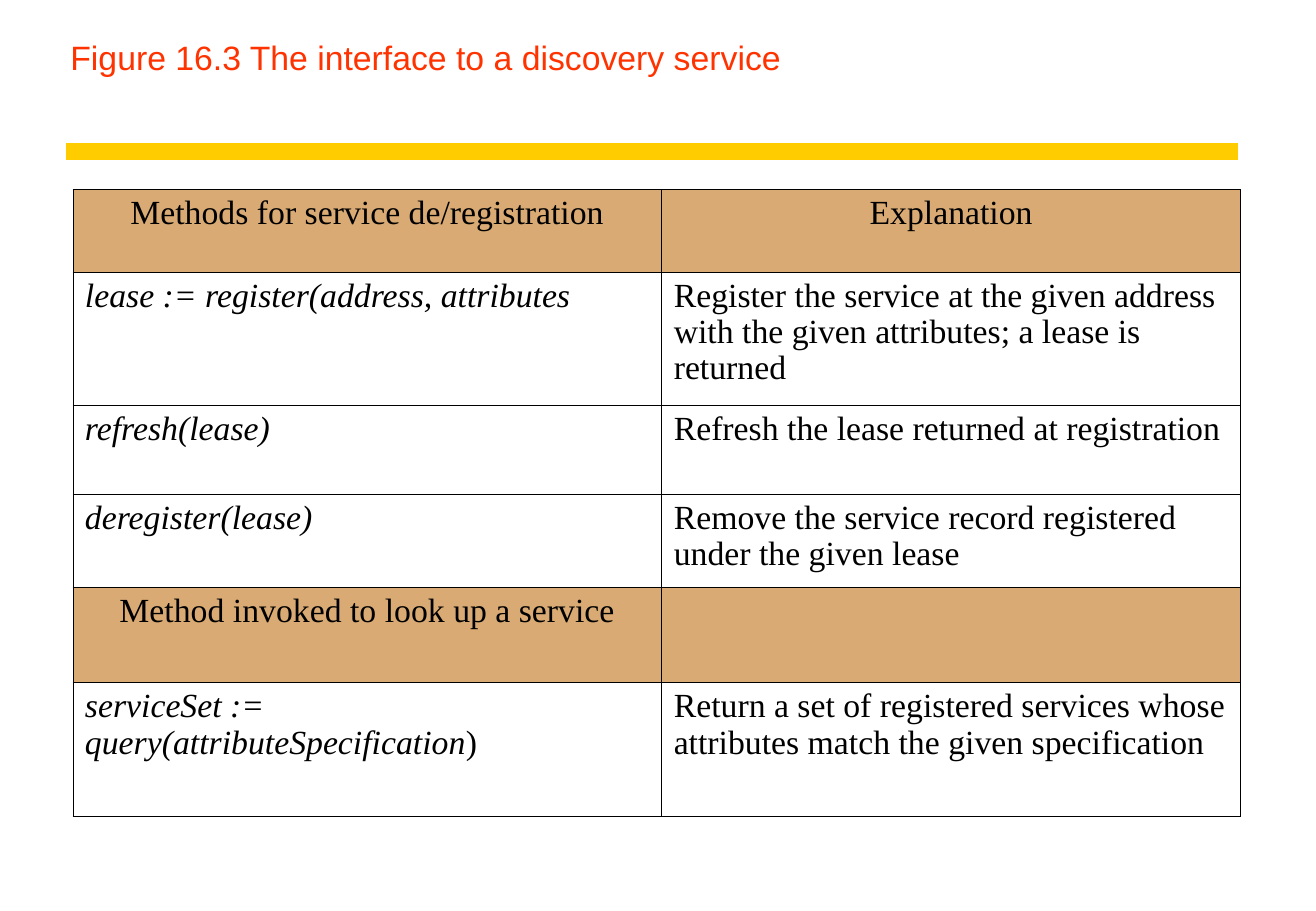
"""Build the slide showing the interface to a discovery service."""
from dataclasses import dataclass
from typing import Any

from lxml.etree import SubElement
from pptx import Presentation
from pptx.dml.color import RGBColor as Rgb
from pptx.enum.shapes import MSO_CONNECTOR as Connector
from pptx.enum.text import MSO_ANCHOR as Anchor, MSO_AUTO_SIZE as AutoSize, PP_ALIGN as Align
from pptx.oxml.ns import qn
from pptx.util import Inches, Pt


@dataclass(frozen=True)
class Theme:
    title: Rgb = Rgb(0xFF, 0x33, 0x00)
    rule: Rgb = Rgb(0xFF, 0xCC, 0x00)
    heading: Rgb = Rgb(0xD9, 0xAA, 0x73)
    ink: Rgb = Rgb(0, 0, 0)
    title_font: str = "Arial"
    table_font: str = "Times New Roman"
    text_size: Pt = Pt(20)
    rule_width: Pt = Pt(10)
    border_width: Pt = Pt(0.45)
    line_spacing: float = 0.97


@dataclass(frozen=True)
class MethodRow:
    method: str
    explanation: str
    height: float
    heading: bool = False
    upright_tail: str = ""


THEME = Theme()
COLUMN_WIDTHS = (4.85, 4.77)
METHOD_ROWS = (
    MethodRow("Methods for service de/registration", "Explanation", 0.68, heading=True),
    MethodRow("lease := register(address, attributes",
              "Register the service at the given address with the given attributes; "
              "a lease is returned", 1.1),
    MethodRow("refresh(lease)", "Refresh the lease returned at registration", 0.73),
    MethodRow("deregister(lease)",
              "Remove the service record registered under the given lease", 0.77),
    MethodRow("Method invoked to look up a service", "", 0.78, heading=True),
    MethodRow("serviceSet := query(attributeSpecification",
              "Return a set of registered services whose attributes match "
              "the given specification", 1.1, upright_tail=")"),
)


def apply_format(target: Any, values: dict[str, Any]) -> None:
    """Set each named attribute on the target."""
    for name, value in values.items():
        setattr(target, name, value)


def add_text(paragraph: Any, text: str, font_name: str, color: Rgb, italic: bool = False) -> None:
    """Append a formatted run to the paragraph."""
    run = paragraph.add_run()
    run.text = text
    apply_format(run.font, {"name": font_name, "size": THEME.text_size, "italic": italic})
    run.font.color.rgb = color


def add_borders(cell: Any) -> None:
    """Outline all four sides of a table cell."""
    properties = cell._tc.get_or_add_tcPr()
    for side in ("a:lnL", "a:lnR", "a:lnT", "a:lnB"):
        border = SubElement(properties, qn(side), w=str(int(THEME.border_width)))
        fill = SubElement(border, qn("a:solidFill"))
        SubElement(fill, qn("a:srgbClr"), val=str(THEME.ink))


def add_title(slide: Any) -> None:
    """Place the figure caption in the title placeholder."""
    caption = slide.shapes.title
    apply_format(caption, {"left": Inches(0.48), "top": Inches(0.25),
                           "width": Inches(9.72), "height": Inches(0.75)})
    apply_format(caption.text_frame, {"auto_size": AutoSize.NONE, "word_wrap": True,
                                      "vertical_anchor": Anchor.TOP})
    paragraph = caption.text_frame.paragraphs[0]
    paragraph.alignment = Align.LEFT
    add_text(paragraph, "Figure 16.3 The interface to a discovery service",
             THEME.title_font, THEME.title)


def add_rule(slide: Any) -> None:
    """Draw the thick rule under the title."""
    rule = slide.shapes.add_connector(Connector.STRAIGHT, Inches(0.54), Inches(1.25),
                                      Inches(10.2), Inches(1.25))
    rule.line.color.rgb = THEME.rule
    rule.line.width = THEME.rule_width
    SubElement(rule._element.spPr, qn("a:effectLst"))


def fill_row(cells: Any, row: MethodRow) -> None:
    """Write and style the two cells of a method row."""
    for cell, text, is_method in zip(cells, (row.method, row.explanation), (True, False)):
        add_borders(cell)
        if row.heading:
            cell.fill.solid()
            cell.fill.fore_color.rgb = THEME.heading
        else:
            cell.fill.background()
        paragraph = cell.text_frame.paragraphs[0]
        apply_format(paragraph, {"alignment": Align.CENTER if row.heading else Align.LEFT,
                                 "line_spacing": THEME.line_spacing})
        if text:
            add_text(paragraph, text, THEME.table_font, THEME.ink,
                     italic=is_method and not row.heading)
        if is_method and row.upright_tail:
            add_text(paragraph, row.upright_tail, THEME.table_font, THEME.ink)


def add_methods_table(slide: Any) -> None:
    """Add the table of methods and their explanations."""
    table = slide.shapes.add_table(
        len(METHOD_ROWS), len(COLUMN_WIDTHS), Inches(0.6), Inches(1.56),
        Inches(sum(COLUMN_WIDTHS)), Inches(sum(row.height for row in METHOD_ROWS))).table
    apply_format(table, {"first_row": False, "horz_banding": False})
    for column, width in zip(table.columns, COLUMN_WIDTHS):
        column.width = Inches(width)
    for table_row, row in zip(table.rows, METHOD_ROWS):
        table_row.height = Inches(row.height)
        fill_row(table_row.cells, row)


def main() -> None:
    """Build and save the presentation."""
    deck = Presentation()
    apply_format(deck, {"slide_width": Inches(10.84), "slide_height": Inches(7.5)})
    slide = deck.slides.add_slide(deck.slide_layouts.get_by_name("Title Only"))
    add_rule(slide)
    add_title(slide)
    add_methods_table(slide)
    deck.save("out.pptx")


if __name__ == "__main__":
    main()
